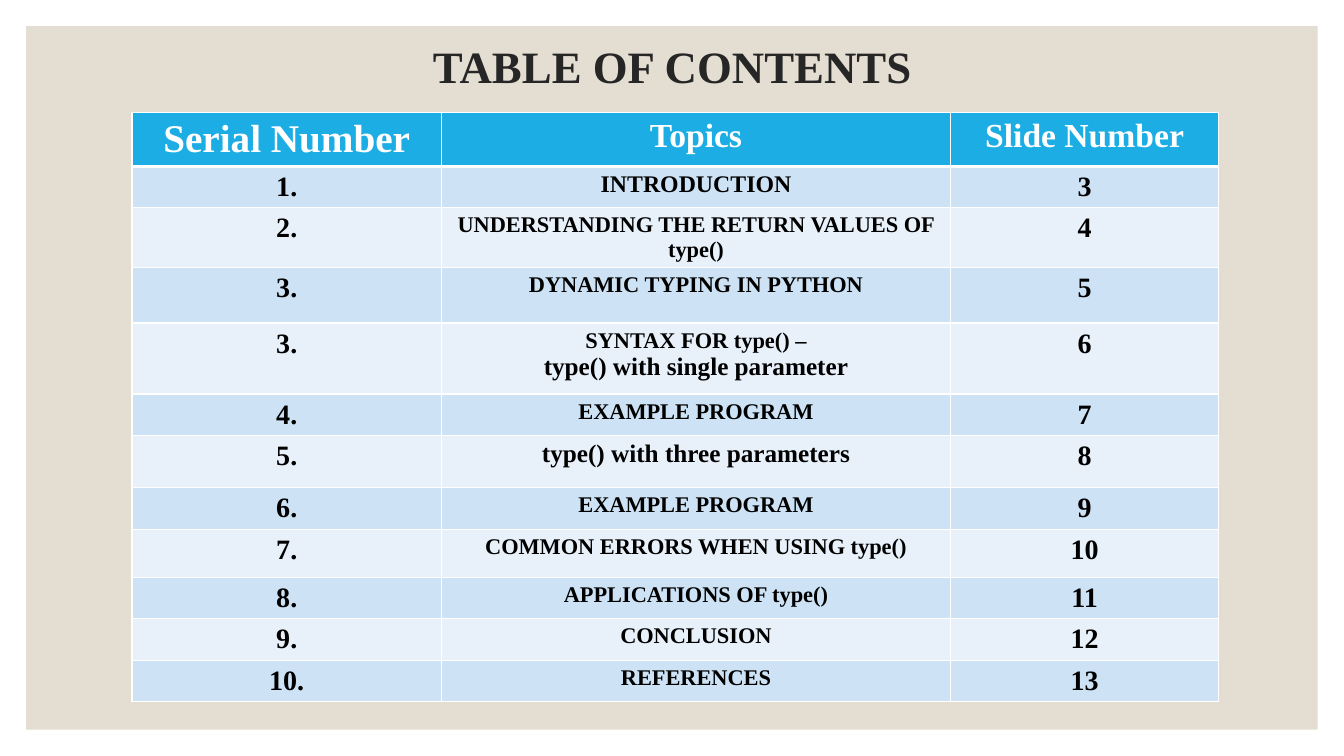
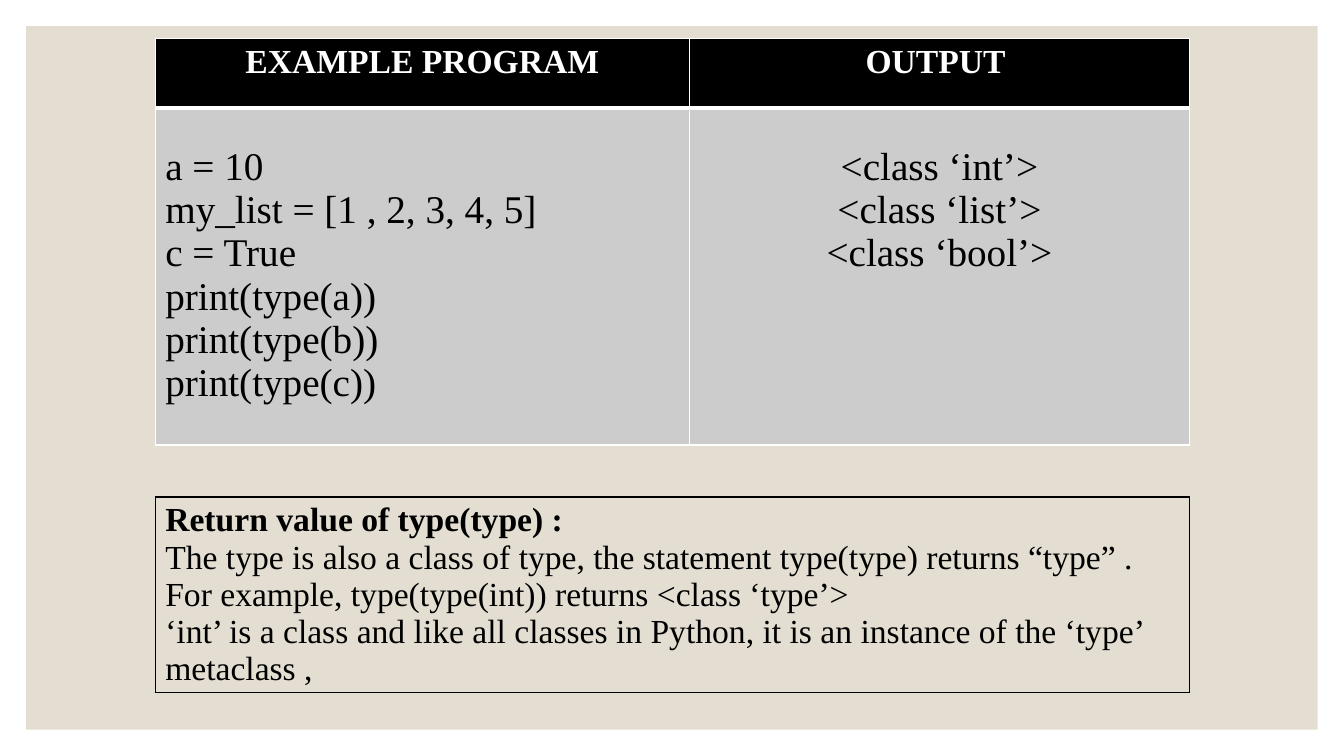
import dataclasses

import lxml.etree
import pptx
import pptx.dml.color
import pptx.enum.shapes
import pptx.enum.text
import pptx.oxml.ns
import pptx.util

ALIGN = pptx.enum.text.PP_ALIGN


@dataclasses.dataclass(frozen=True)
class Theme:
    """Colours, font and type sizes of the presentation."""
    font: str = "Times New Roman"
    panel: str = "E3DED1"
    title: str = "262626"
    accent: str = "1CADE4"
    bands: tuple = ("CDE3F5", "E8F1FA")
    code: str = "CCCCCC"
    black: str = "000000"
    white: str = "FFFFFF"
    title_size: int = 32
    large: int = 28
    heading: int = 24
    number: int = 20
    phrase: int = 18
    lead: int = 17
    topic: int = 16
    thin: int = 1
    thick: int = 3


THEME = Theme()


@dataclasses.dataclass(frozen=True)
class Line:
    """One paragraph of text with its look."""
    text: str
    size: int
    bold: bool = True
    color: str = THEME.black
    align: ALIGN = ALIGN.CENTER


class Deck:
    """Draws styled elements on the current slide, placed in percent of its size."""

    def __init__(self, theme):
        self.theme = theme
        self.presentation = pptx.Presentation()
        self.presentation.slide_width = pptx.util.Inches(13.33)
        self.presentation.slide_height = pptx.util.Inches(7.5)
        self.slide = None

    def across(self, share):
        """Turn a percentage of the slide width into a length."""
        return round(self.presentation.slide_width * share / 100)

    def down(self, share):
        """Turn a percentage of the slide height into a length."""
        return round(self.presentation.slide_height * share / 100)

    def add_slide(self, layout_name):
        """Start a slide with the shared background panel."""
        layout = self.presentation.slide_layouts.get_by_name(layout_name)
        self.slide = self.presentation.slides.add_slide(layout)
        margin = pptx.util.Inches(0.26)
        panel = self.slide.shapes.add_shape(
            pptx.enum.shapes.MSO_SHAPE.RECTANGLE, margin, margin,
            self.presentation.slide_width - 2 * margin,
            self.presentation.slide_height - 2 * margin)
        panel.shadow.inherit = False
        panel.fill.solid()
        panel.fill.fore_color.rgb = pptx.dml.color.RGBColor.from_string(self.theme.panel)
        panel.line.fill.background()
        self.slide.shapes._spTree.insert(2, panel._element)

    def set_lines(self, text_frame, lines):
        """Fill a text frame with one paragraph for each line."""
        for index, line in enumerate(lines):
            paragraph = text_frame.paragraphs[0] if index == 0 else text_frame.add_paragraph()
            paragraph.text = line.text
            paragraph.alignment = line.align
            paragraph.font.name = self.theme.font
            paragraph.font.size = pptx.util.Pt(line.size)
            paragraph.font.bold = line.bold
            paragraph.font.color.rgb = pptx.dml.color.RGBColor.from_string(line.color)

    def add_title(self, text, left, top, width, height):
        """Place the title placeholder."""
        title = self.slide.shapes.title
        title.left, title.width = self.across(left), self.across(width)
        title.top, title.height = self.down(top), self.down(height)
        title.text_frame.vertical_anchor = pptx.enum.text.MSO_ANCHOR.MIDDLE
        self.set_lines(title.text_frame,
                       [Line(text, self.theme.title_size, color=self.theme.title)])
        title.text_frame.paragraphs[0].line_spacing = 0.9

    def add_table(self, left, top, columns, heights, rows, fills, border, header=True):
        """Add a table whose cells hold lists of lines and whose rows have one fill each."""
        table = self.slide.shapes.add_table(
            len(rows), len(columns), self.across(left), self.down(top),
            self.across(sum(columns)), self.down(sum(heights))).table
        table.first_row = table.horz_banding = False
        for column, share in zip(table.columns, columns):
            column.width = self.across(share)
        for index, (row, share, contents, fill) in enumerate(
                zip(table.rows, heights, rows, fills)):
            row.height = self.down(share)
            widths = {"lnL": self.theme.thin, "lnR": self.theme.thin}
            if index == 0:
                widths["lnT"] = self.theme.thin
            widths["lnB"] = self.theme.thick if header and index == 0 else self.theme.thin
            for cell, lines in zip(row.cells, contents):
                self.set_lines(cell.text_frame, lines)
                if fill:
                    cell.fill.solid()
                    cell.fill.fore_color.rgb = pptx.dml.color.RGBColor.from_string(fill)
                else:
                    cell.fill.background()
                self.set_borders(cell, widths, border)
        return table

    def set_borders(self, cell, widths, color):
        """Give a cell the named border lines."""
        qualified = pptx.oxml.ns.qn
        properties = cell._tc.get_or_add_tcPr()
        for index, (side, width) in enumerate(widths.items()):
            line = lxml.etree.Element(qualified(f"a:{side}"), w=str(pptx.util.Pt(width)))
            fill = lxml.etree.SubElement(line, qualified("a:solidFill"))
            lxml.etree.SubElement(fill, qualified("a:srgbClr"), val=color)
            properties.insert(index, line)


def add_contents(deck):
    """Build the table of contents."""
    theme = deck.theme
    topics = [
        ("1.", [("INTRODUCTION", theme.lead)], 5.47),
        ("2.", [("UNDERSTANDING THE RETURN VALUES OF type()", theme.topic)], 7.87),
        ("3.", [("DYNAMIC TYPING IN PYTHON", theme.topic)], 7.33),
        ("3.", [("SYNTAX FOR type() –", theme.topic),
                ("type() with single parameter", theme.phrase)], 9.4),
        ("4.", [("EXAMPLE PROGRAM", theme.topic)], 5.47),
        ("5.", [("type() with three parameters", theme.phrase)], 6.93),
        ("6.", [("EXAMPLE PROGRAM", theme.topic)], 5.47),
        ("7.", [("COMMON ERRORS WHEN USING type()", theme.topic)], 6.4),
        ("8.", [("APPLICATIONS OF type()", theme.topic)], 5.47),
        ("9.", [("CONCLUSION", theme.topic)], 5.47),
        ("10.", [("REFERENCES", theme.topic)], 5.47),
    ]
    headings = [("Serial Number", theme.large), ("Topics", theme.heading),
                ("Slide Number", theme.heading)]
    rows = [[[Line(text, size, color=theme.white)] for text, size in headings]]
    for slide_number, (serial, topic, _) in enumerate(topics, start=3):
        rows.append([[Line(serial, theme.number)],
                     [Line(text, size) for text, size in topic],
                     [Line(str(slide_number), theme.number)]])
    heights = [7.07] + [height for _, _, height in topics]
    fills = [theme.accent] + [theme.bands[index % 2] for index in range(len(topics))]
    deck.add_slide("Title Only")
    deck.add_title("TABLE OF CONTENTS", 6.9, 4.4, 86.25, 9.47)
    deck.add_table(9.82, 14.93, [23.03, 37.88, 19.95], heights, rows, fills, theme.white)


def add_example(deck):
    """Build the example program with its output and explanation."""
    theme = deck.theme
    left, columns = 11.55, [39.75, 37.2]
    headings = [[Line(text, theme.heading, color=theme.white)]
                for text in ("EXAMPLE PROGRAM", "OUTPUT ")]
    program = ["a = 10", "my_list = [1 , 2, 3, 4, 5]", "c = True",
               "print(type(a))", "print(type(b))", "print(type(c))"]
    output = ["<class ‘int’>", "<class ‘list’>", "<class ‘bool’>"]
    body = [[Line(text, theme.large, bold=False, align=align) for text in texts]
            for texts, align in ((program, ALIGN.LEFT), (output, ALIGN.CENTER))]
    explanation = [
        "Return value of type(type) :",
        "The type is also a class of type, the statement type(type) returns “type” .",
        "For example, type(type(int)) returns <class ‘type’>",
        "‘int’ is a class and like all classes in Python, it is an instance of the "
        "‘type’ metaclass ,",
    ]
    notes = [Line(text, theme.heading, bold=index == 0, align=ALIGN.LEFT)
             for index, text in enumerate(explanation)]
    deck.add_slide("Blank")
    table = deck.add_table(left, 5.07, columns, [9.2, 44.6], [headings, body],
                           [theme.black, theme.code], theme.white)
    for cell in table.rows[1].cells:
        cell.margin_top = pptx.util.Inches(0.37)
    deck.add_table(left, 65.73, [sum(columns)], [25.9], [[notes]], [None],
                   theme.black, header=False)


def main():
    """Build and save the presentation."""
    deck = Deck(THEME)
    add_contents(deck)
    add_example(deck)
    deck.presentation.save("out.pptx")


if __name__ == "__main__":
    main()
